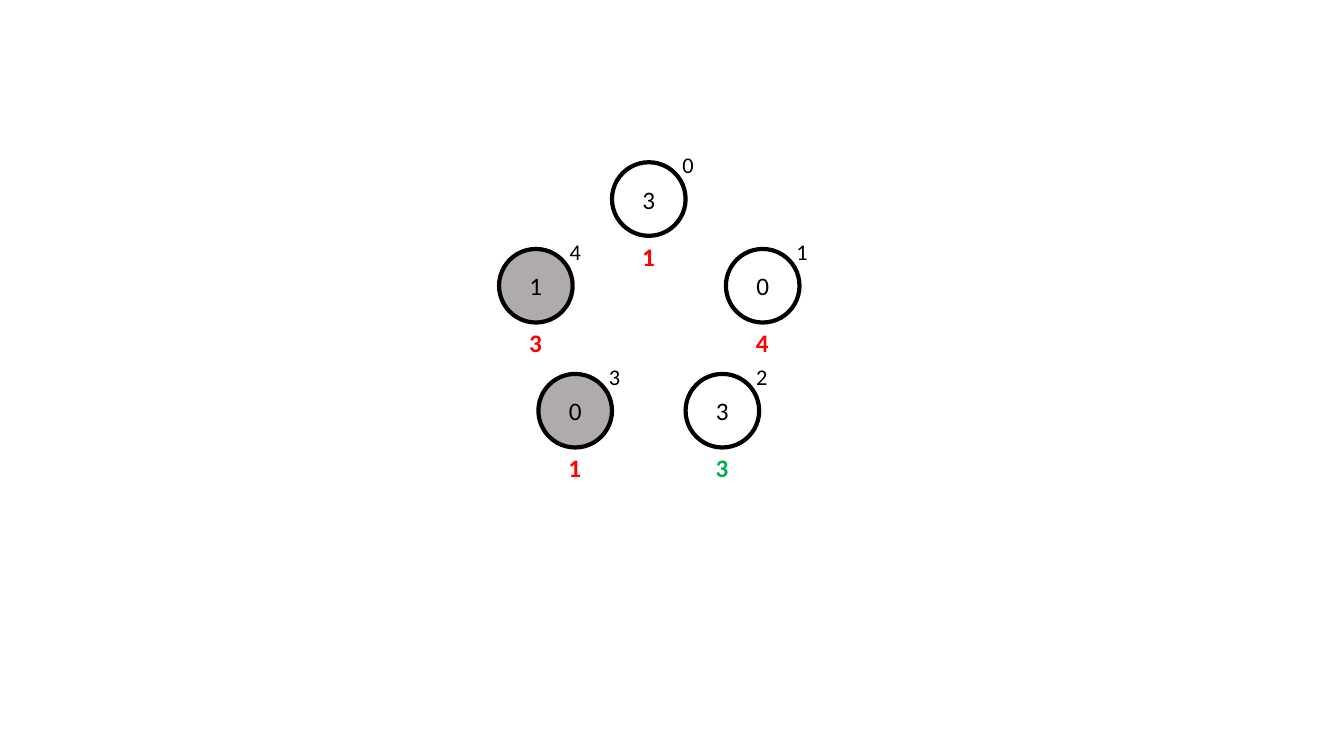
from collections import namedtuple

from pptx import Presentation
from pptx.dml.color import RGBColor
from pptx.enum.shapes import MSO_SHAPE
from pptx.enum.text import MSO_ANCHOR, MSO_AUTO_SIZE, PP_ALIGN
from pptx.util import Inches, Pt

BLACK = RGBColor(0x00, 0x00, 0x00)
WHITE = RGBColor(0xFF, 0xFF, 0xFF)
GRAY = RGBColor(0xAF, 0xAB, 0xAB)
RED = RGBColor(0xFF, 0x00, 0x00)
GREEN = RGBColor(0x00, 0xB0, 0x50)

FONT = "Calibri"
DIAMETER = 0.73

Node = namedtuple("Node", "left top index value fill result result_color")

NODES = [
    Node(4.95, 2.47, "4", "1", GRAY, "3", RED),
    Node(5.34, 3.71, "3", "0", GRAY, "1", RED),
    Node(6.8, 3.71, "2", "3", WHITE, "3", GREEN),
    Node(7.2, 2.47, "1", "0", WHITE, "4", RED),
    Node(6.07, 1.61, "0", "3", WHITE, "1", RED),
]


def write_text(frame, text, size=18, color=BLACK, bold=False, align=PP_ALIGN.LEFT):
    para = frame.paragraphs[0]
    para.alignment = align
    span = para.add_run()
    span.text = text
    span.font.name = FONT
    span.font.size = Pt(size)
    span.font.color.rgb = color
    span.font.bold = bold


def add_label(shapes, left, top, width, height, text, wrap=True, **text_format):
    box = shapes.add_textbox(Inches(left), Inches(top), Inches(width), Inches(height))
    box.text_frame.word_wrap = wrap
    box.text_frame.auto_size = MSO_AUTO_SIZE.SHAPE_TO_FIT_TEXT
    write_text(box.text_frame, text, **text_format)


def add_circle(shapes, node):
    circle = shapes.add_shape(
        MSO_SHAPE.OVAL, Inches(node.left), Inches(node.top), Inches(DIAMETER), Inches(DIAMETER)
    )
    circle.shadow.inherit = False
    circle.fill.solid()
    circle.fill.fore_color.rgb = node.fill
    circle.line.color.rgb = BLACK
    circle.line.width = Pt(3)
    circle.text_frame.vertical_anchor = MSO_ANCHOR.MIDDLE
    write_text(circle.text_frame, node.value, align=PP_ALIGN.CENTER)


def add_node(page, node):
    group = page.shapes.add_group_shape()
    add_circle(group.shapes, node)
    add_label(group.shapes, node.left + 0.6, node.top - 0.16, 0.31, 0.37, node.index, size=16)


def add_result(page, node):
    add_label(
        page.shapes, node.left + 0.2, node.top + DIAMETER, 0.33, 0.4, node.result,
        wrap=False, color=node.result_color, bold=True,
    )


def main():
    deck = Presentation()
    deck.slide_width = Inches(13.33)
    deck.slide_height = Inches(7.5)
    page = deck.slides.add_slide(deck.slide_layouts[6])
    for node in NODES:
        add_node(page, node)
    for node in reversed(NODES):
        add_result(page, node)
    deck.save("out.pptx")


main()
